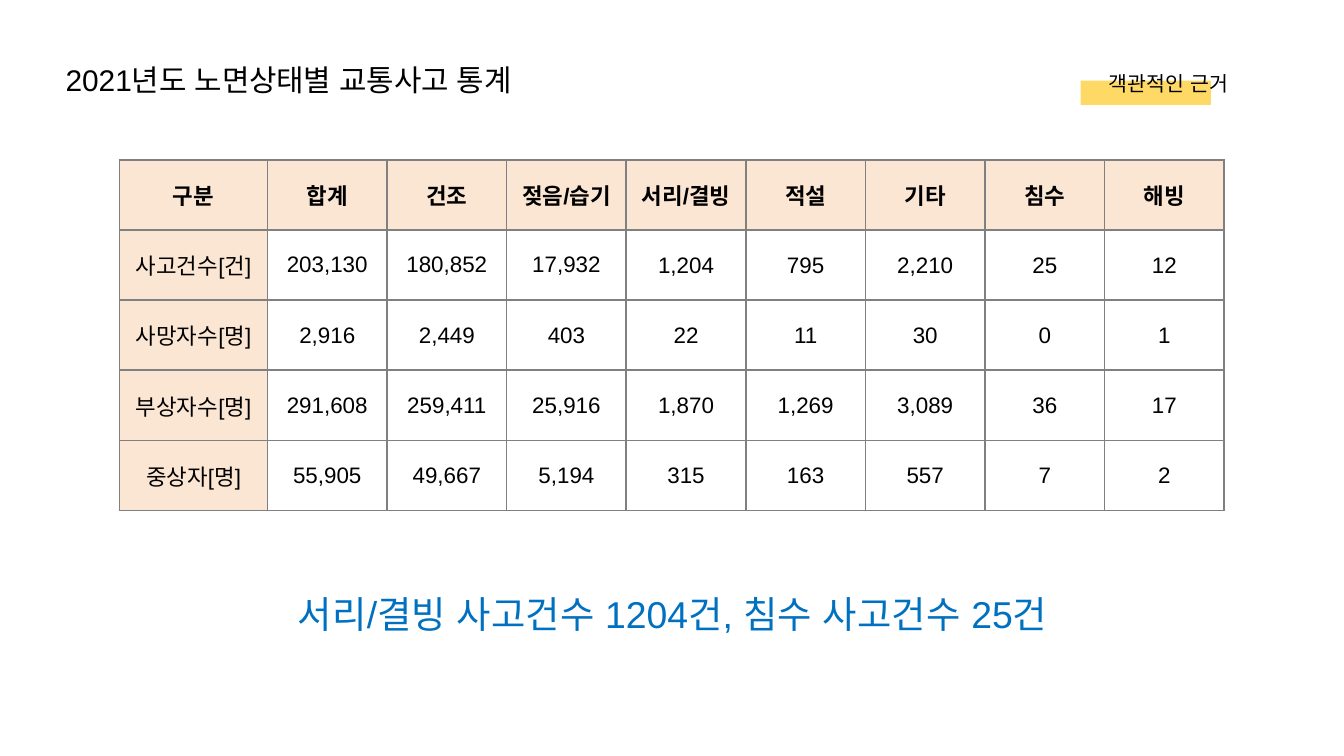
from dataclasses import dataclass

from lxml.etree import SubElement
from pptx import Presentation
from pptx.dml.color import RGBColor
from pptx.enum.shapes import MSO_SHAPE
from pptx.enum.text import MSO_ANCHOR, PP_ALIGN
from pptx.oxml import parse_xml
from pptx.oxml.ns import nsdecls, qn
from pptx.util import Inches, Pt


@dataclass(frozen=True)
class Theme:
    """Colours, type sizes and font of the slide."""
    font: str = "Arial"
    text: str = "000000"
    accent: str = "0070C0"
    highlight: str = "FFD966"
    label_fill: str = "FBE6D3"
    value_fill: str = "FFFFFF"
    border: str = "808080"
    tag_size: int = 11
    table_size: int = 12
    heading_size: int = 16
    summary_size: int = 20


THEME = Theme()
HEADERS = ["구분", "합계", "건조", "젖음/습기", "서리/결빙", "적설", "기타", "침수", "해빙"]
ROWS = [
    ["사고건수[건]", "203,130", "180,852", "17,932", "1,204", "795", "2,210", "25", "12"],
    ["사망자수[명]", "2,916", "2,449", "403", "22", "11", "30", "0", "1"],
    ["부상자수[명]", "291,608", "259,411", "25,916", "1,870", "1,269", "3,089", "36", "17"],
    ["중상자[명]", "55,905", "49,667", "5,194", "315", "163", "557", "7", "2"],
]


def write_text(text_frame, text, size, color=THEME.text, alignment=PP_ALIGN.LEFT,
               bold=False, east_asian=True):
    """Fill a text frame with one formatted paragraph."""
    text_frame.text = text
    text_frame.word_wrap = True
    paragraph = text_frame.paragraphs[0]
    paragraph.alignment = alignment
    for run in paragraph.runs:
        run.font.name = THEME.font
        run.font.size = Pt(size)
        run.font.bold = bold
        run.font.color.rgb = RGBColor.from_string(color)
        if east_asian:
            SubElement(run.font._element, qn("a:ea"), typeface=THEME.font)


def add_tag(slide, left, top, width, height):
    """Place the right-aligned title over its highlight bar."""
    title = slide.shapes.title
    title.left, title.top = Inches(left), Inches(top)
    title.width, title.height = Inches(width), Inches(height)
    text_frame = title.text_frame
    write_text(text_frame, "객관적인 근거", THEME.tag_size, alignment=PP_ALIGN.RIGHT)
    text_frame.vertical_anchor = MSO_ANCHOR.BOTTOM
    text_frame.margin_left = text_frame.margin_right = Inches(0.1)
    text_frame.margin_top = text_frame.margin_bottom = Inches(0.1)
    bar = slide.shapes.add_shape(
        MSO_SHAPE.RECTANGLE, Inches(left + width - 1.2), Inches(top + 0.17),
        Inches(0.97), Inches(0.18))
    bar.shadow.inherit = False
    bar.fill.solid()
    bar.fill.fore_color.rgb = RGBColor.from_string(THEME.highlight)
    bar.line.fill.background()
    title.element.addprevious(bar.element)


def add_text(slide, left, top, width, height, text, size, **style):
    """Place a text box with one paragraph."""
    box = slide.shapes.add_textbox(Inches(left), Inches(top), Inches(width), Inches(height))
    write_text(box.text_frame, text, size, **style)


def add_borders(cell):
    """Draw a thin line on all four sides of a cell."""
    properties = cell._tc.get_or_add_tcPr()
    for index, side in enumerate(("lnL", "lnR", "lnT", "lnB")):
        properties.insert(index, parse_xml(
            f'<a:{side} {nsdecls("a")} w="{Pt(1)}"><a:solidFill>'
            f'<a:srgbClr val="{THEME.border}"/></a:solidFill></a:{side}>'))


def add_statistics(slide, left, top, width, height, label_width=1.1):
    """Place the accident table with a wider label column."""
    records = [HEADERS, *ROWS]
    table = slide.shapes.add_table(
        len(records), len(HEADERS), Inches(left), Inches(top),
        Inches(width), Inches(height)).table
    value_width = (width - label_width) / (len(HEADERS) - 1)
    for index, column in enumerate(table.columns):
        column.width = Inches(value_width if index else label_width)
    for row_index, record in enumerate(records):
        table.rows[row_index].height = Inches(height / len(records))
        for column_index, text in enumerate(record):
            cell = table.cell(row_index, column_index)
            is_label = row_index == 0 or column_index == 0
            write_text(cell.text_frame, text, THEME.table_size, alignment=PP_ALIGN.CENTER,
                       bold=row_index == 0, east_asian=False)
            cell.vertical_anchor = MSO_ANCHOR.MIDDLE
            if row_index and column_index >= 4:
                cell.margin_left = cell.margin_right = cell.margin_top = Inches(0.01)
                cell.margin_bottom = 0
            cell.fill.solid()
            cell.fill.fore_color.rgb = RGBColor.from_string(
                THEME.label_fill if is_label else THEME.value_fill)
            add_borders(cell)


def main():
    """Build and save the slide."""
    presentation = Presentation()
    presentation.slide_width = Inches(10)
    presentation.slide_height = presentation.slide_width * 9 // 16
    slide = presentation.slides.add_slide(presentation.slide_layouts[5])
    add_tag(slide, 2.37, 0.43, 6.87, 0.38)
    add_text(slide, 0.39, 0.41, 6.43, 0.37, "2021년도 노면상태별 교통사고 통계",
             THEME.heading_size)
    add_statistics(slide, 0.89, 1.19, 8.22, 2.61)
    add_text(slide, 1.92, 4.35, 6.17, 0.44, "서리/결빙 사고건수 1204건, 침수 사고건수 25건",
             THEME.summary_size, color=THEME.accent, alignment=PP_ALIGN.CENTER)
    presentation.save("out.pptx")


if __name__ == "__main__":
    main()
